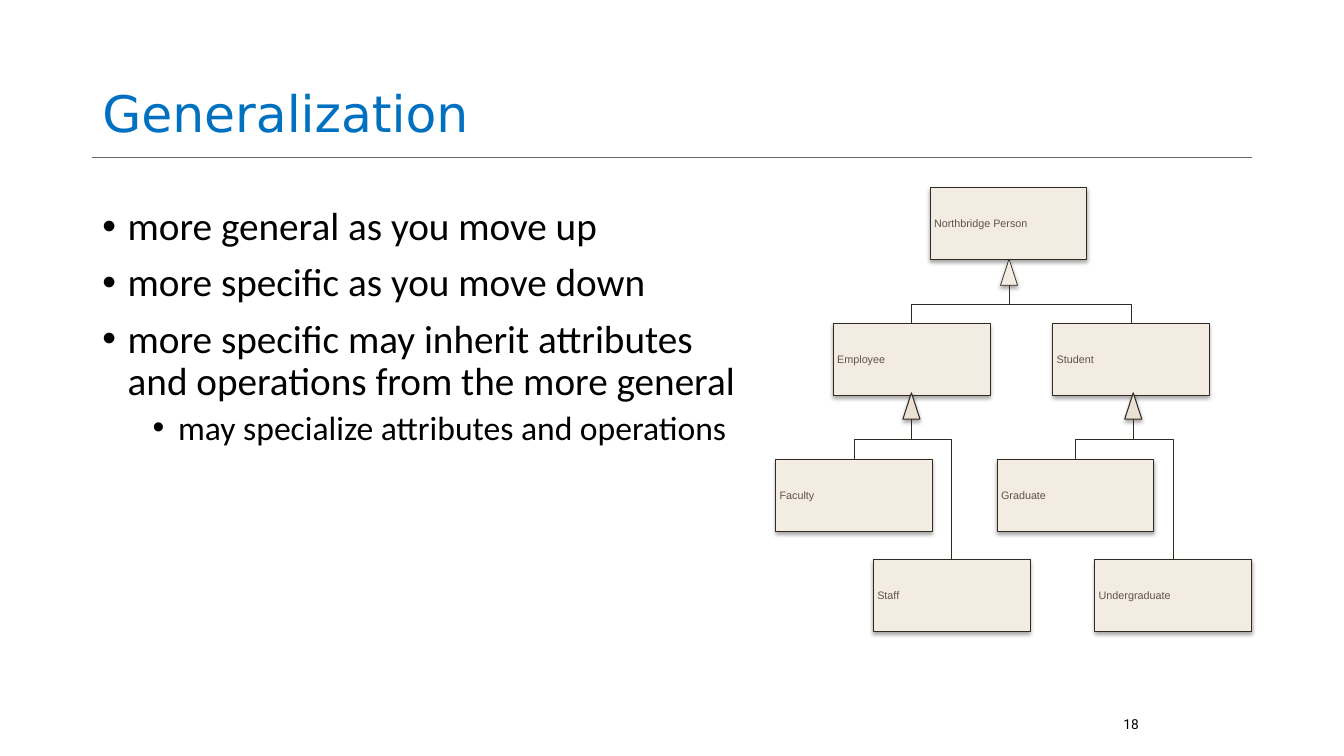
from dataclasses import dataclass
from lxml import etree
from pptx import Presentation
from pptx import util as u
from pptx.dml.color import RGBColor
from pptx.enum import shapes, text
from pptx.oxml import ns

Cm, Pt = u.Cm, u.Pt


@dataclass
class Theme:
    title: str = "0070C0"
    body: str = "000000"
    label: str = "615445"
    edge: str = "312A23"
    rule: str = "666666"
    pale: str = "F2ECE2"
    dark: str = "EBE1D2"
    head: float = 36
    main: float = 28
    sub: float = 24
    page: float = 9.8
    small: float = 7.7


theme = Theme()


def put(frame, words, size, color, font, anchor="TOP", align="LEFT", wrap=True,
        inset=(0.25, 0.13), ratio=1.0, before=0, left=0, bullet=False, more=False):
    frame.word_wrap = wrap
    frame.vertical_anchor = text.MSO_ANCHOR[anchor]
    frame.margin_left = frame.margin_right = Cm(inset[0])
    frame.margin_top = frame.margin_bottom = Cm(inset[1])
    para = frame.add_paragraph() if more else frame.paragraphs[0]
    para.text = words
    para.alignment = text.PP_ALIGN[align]
    para.line_spacing = ratio
    para.space_before = Pt(before)
    for run in para.runs:
        run.font.size = Pt(size)
        run.font.name = font
        run.font.color.rgb = RGBColor.from_string(color)
    if bullet:
        props = para._p.get_or_add_pPr()
        props.set("marL", str(Cm(left)))
        props.set("indent", str(-Cm(0.64)))
        etree.SubElement(props, ns.qn("a:buFont"), typeface="Arial")
        etree.SubElement(props, ns.qn("a:buChar"), char="•")


def paint(shape, fill, width=0.5):
    shape.line.color.rgb = RGBColor.from_string(theme.edge)
    shape.line.width = Pt(width)
    shape.shadow.inherit = False
    if fill is None:
        shape.fill.background()
        return
    shape.fill.solid()
    shape.fill.fore_color.rgb = RGBColor.from_string(fill)
    glow = etree.SubElement(
        shape._element.spPr.find(ns.qn("a:effectLst")), ns.qn("a:outerShdw"),
        blurRad=str(Pt(3)), dist=str(Pt(1.8)), dir="5400000", rotWithShape="0")
    tint = etree.SubElement(glow, ns.qn("a:srgbClr"), val="000000")
    etree.SubElement(tint, ns.qn("a:alpha"), val="35000")


deck = Presentation()
deck.slide_width, deck.slide_height = Cm(33.87), Cm(19.05)
slide = deck.slides.add_slide(deck.slide_layouts[6])
items = slide.shapes

rule = items.add_connector(shapes.MSO_CONNECTOR.STRAIGHT, Cm(2.33), Cm(3.97), Cm(31.55), Cm(3.97))
rule.line.color.rgb = RGBColor.from_string(theme.rule)
rule.line.width = Pt(0.5)
etree.SubElement(rule._element.spPr, ns.qn("a:effectLst"))

title = items.add_textbox(Cm(2.33), Cm(0.07), Cm(29.21), Cm(3.68))
put(title.text_frame, "Generalization", theme.head, theme.title, "DejaVu Sans",
    anchor="BOTTOM", ratio=0.9)

body = items.add_textbox(Cm(2.33), Cm(4.17), Cm(21.92), Cm(12.09))
points = [
    ("more general as you move up", theme.main, 10, 0.64),
    ("more specific as you move down", theme.main, 10, 0.64),
    ("more specific may inherit attributes\vand operations from the more general", theme.main, 10, 0.64),
    ("may specialize attributes and operations", theme.sub, 5, 1.91),
]
for rank, (words, size, before, left) in enumerate(points):
    put(body.text_frame, words, size, theme.body, "Calibri", inset=(0.25, 1.04),
        ratio=0.9, before=before, left=left, bullet=True, more=rank > 0)

page = items.add_textbox(Cm(28.19), Cm(17.93), Cm(0.61), Cm(0.61))
put(page.text_frame, "18", theme.page, theme.body, "Roboto", anchor="BOTTOM",
    align="RIGHT", wrap=False, inset=(0.1, 0.1))

wide, high = 3.95, 1.81
boxes = {
    "Northbridge Person": (23.44, 4.72),
    "Employee": (21.0, 8.15),
    "Student": (26.53, 8.15),
    "Faculty": (19.55, 11.58),
    "Staff": (22.01, 14.1),
    "Graduate": (25.13, 11.58),
    "Undergraduate": (27.59, 14.1),
}
for name, (x, y) in boxes.items():
    box = items.add_shape(shapes.MSO_SHAPE.RECTANGLE, Cm(x), Cm(y), Cm(wide), Cm(high))
    paint(box, theme.pale)
    put(box.text_frame, name, theme.small, theme.label, "Arial",
        anchor="MIDDLE", inset=(0.1, 0.13))

base, tall = 0.43, 0.66
trees = [
    (25.43, 6.53, 7.67, theme.pale, 0.5, ("Employee", "Student")),
    (22.97, 9.9, 11.06, theme.dark, 0.75, ("Faculty", "Staff")),
    (28.56, 9.9, 11.06, theme.dark, 0.75, ("Graduate", "Undergraduate")),
]
for x, top, bend, fill, width, kids in trees:
    tip = items.add_shape(shapes.MSO_SHAPE.ISOSCELES_TRIANGLE,
                          Cm(x - base / 2), Cm(top), Cm(base), Cm(tall))
    paint(tip, fill, width)
    for kid in kids:
        left, end = boxes[kid]
        mid = left + wide / 2
        pen = items.build_freeform(Cm(x), Cm(top + tall))
        pen.add_line_segments([(Cm(x), Cm(bend)), (Cm(mid), Cm(bend)), (Cm(mid), Cm(end))], close=False)
        paint(pen.convert_to_shape(), None)

deck.save("out.pptx")
